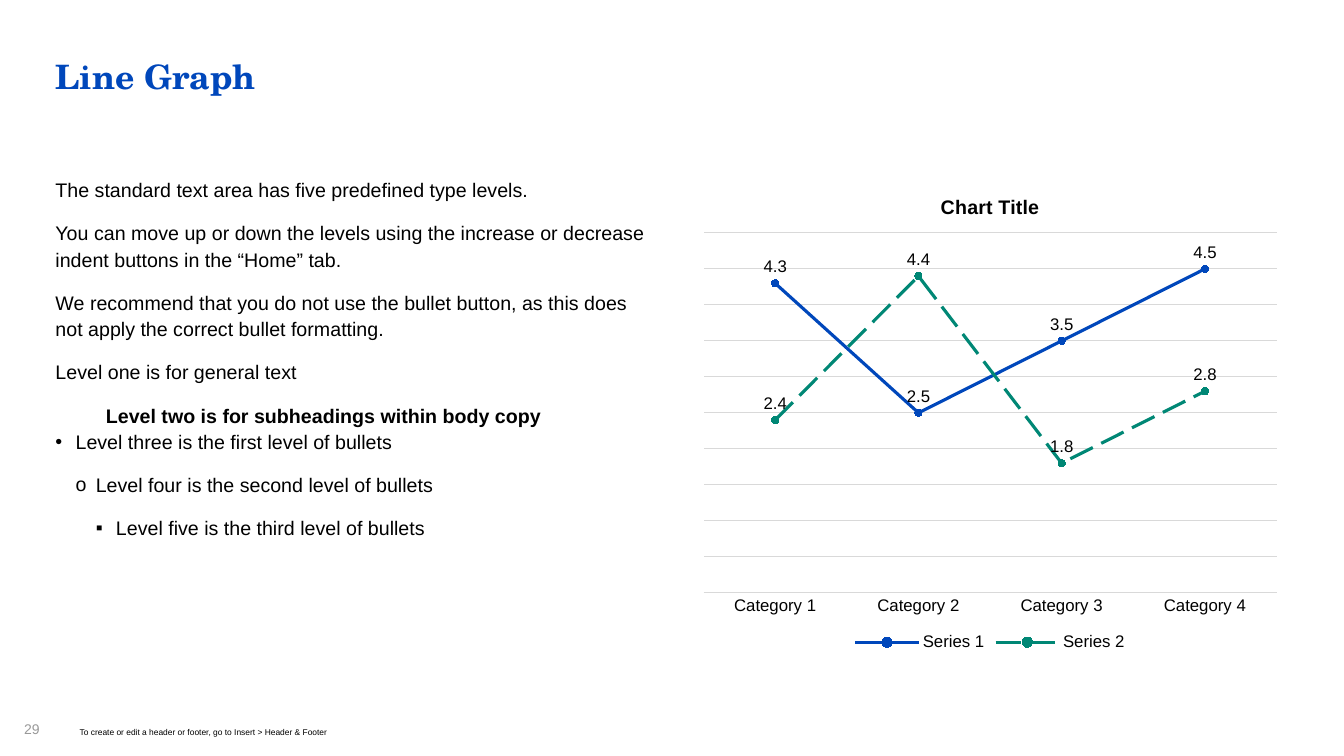
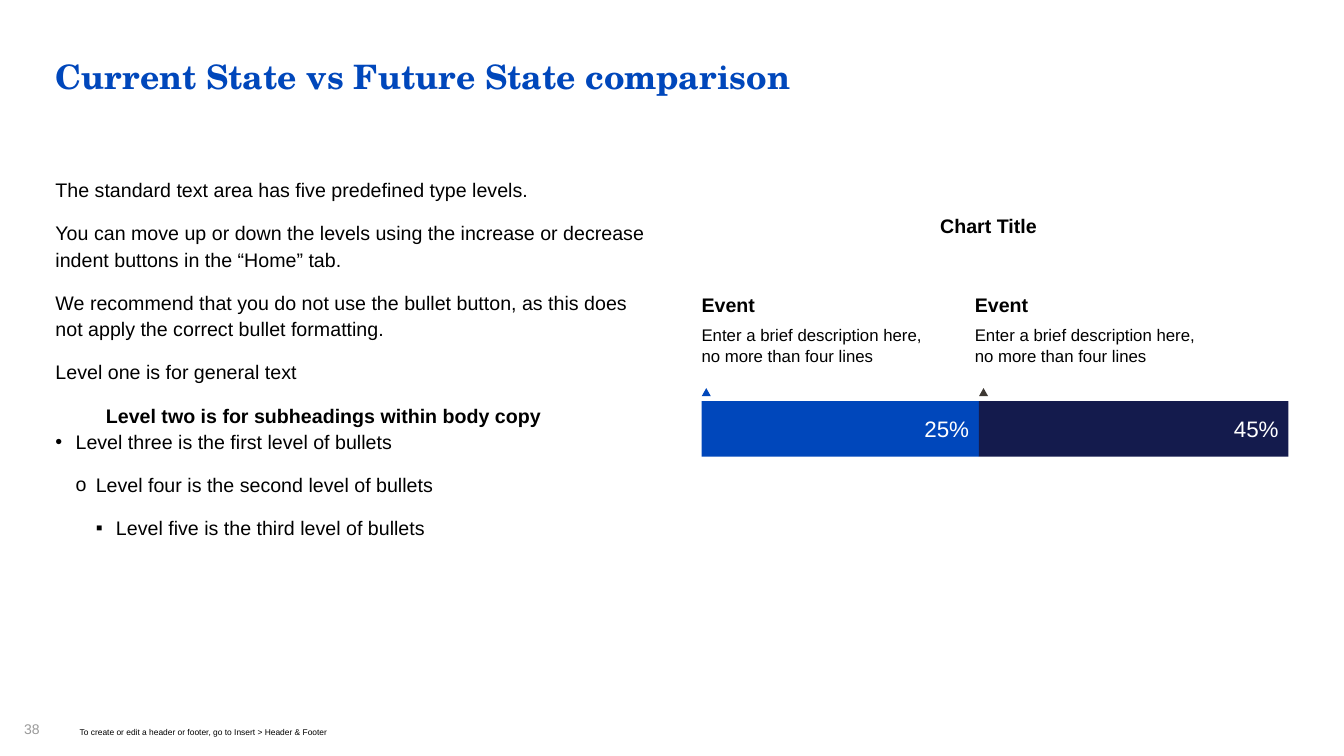
from lxml.etree import SubElement
from pptx import Presentation
from pptx.chart.data import CategoryChartData
from pptx.dml.color import RGBColor
from pptx.enum.chart import XL_CHART_TYPE, XL_LABEL_POSITION, XL_LEGEND_POSITION, XL_MARKER_STYLE, XL_TICK_MARK
from pptx.enum.dml import MSO_LINE
from pptx.enum.shapes import MSO_SHAPE
from pptx.enum.text import MSO_ANCHOR, PP_ALIGN
from pptx.oxml.ns import qn
from pptx.util import Pt

PX = 9144
BLUE, NAVY, GREEN, BROWN = "0047BB", "141B4D", "008775", "3D3833"
BLACK, WHITE, GREY, RULE = "000000", "FFFFFF", "999999", "D9D9D9"
SANS, SERIF = "Arial", "TeX Gyre Schola"
LEFT, BODY_TOP, BODY_WIDTH, BODY_HEIGHT = 55, 174, 592, 476
CHART_LEFT = 686
INDENT = 20

BODY = [
    (0, "The standard text area has five predefined type levels."),
    (0, "You can move up or down the levels using the increase or decrease indent buttons in the “Home” tab."),
    (0, "We recommend that you do not use the bullet button, as this does not apply the correct bullet formatting."),
    (0, "Level one is for general text"),
    (1, "Level two is for subheadings within body copy"),
    (2, "Level three is the first level of bullets"),
    (3, "Level four is the second level of bullets"),
    (4, "Level five is the third level of bullets"),
]
BULLETS = {2: "•", 3: "o", 4: "▪"}
FOOTER = "To create or edit a header or footer, go to Insert > Header & Footer"
SERIES = [
    ("Series 1", (4.3, 2.5, 3.5, 4.5), BLUE, MSO_LINE.SOLID),
    ("Series 2", (2.4, 4.4, 1.8, 2.8), GREEN, MSO_LINE.LONG_DASH),
]
EVENTS = [
    (696, 275, "25%", BLUE, BLUE),
    (971, 307, "45%", NAVY, BROWN),
]
CAPTION_STEP = 271
DESCRIPTION = "Enter a brief description here,\nno more than four lines"


def px(*lengths):
    return [length * PX for length in lengths]


def color(value):
    return RGBColor.from_string(value)


def style_font(font, size, ink=BLACK, bold=False, name=SANS):
    font.name, font.size, font.bold = name, Pt(size), bold
    font.color.rgb = color(ink)


def write(para, text, size, ink=BLACK, bold=False, name=SANS, spacing=None, after=0):
    para.text = text
    para.line_spacing = spacing
    para.space_after = Pt(after)
    for span in para.runs:
        style_font(span.font, size, ink, bold, name)


def add_box(page, place, inset=0, wrap=True):
    frame = page.shapes.add_textbox(*px(*place)).text_frame
    frame.word_wrap = wrap
    frame.margin_left = frame.margin_right = inset * PX
    frame.margin_top = frame.margin_bottom = inset * PX // 2
    return frame


def add_line(page, place, text, size, **look):
    write(add_box(page, place).paragraphs[0], text, size, spacing=0.9, **look)


def add_bullet(para, level):
    properties = para._p.get_or_add_pPr()
    properties.set("marL", str(INDENT * (level - 1) * PX))
    properties.set("indent", str(-INDENT * PX))
    SubElement(properties, qn("a:buFont")).set("typeface", SANS)
    SubElement(properties, qn("a:buChar")).set("char", BULLETS[level])


def add_body(page):
    frame = add_box(page, (LEFT, BODY_TOP, BODY_WIDTH, BODY_HEIGHT))
    for index, (level, text) in enumerate(BODY):
        para = frame.add_paragraph() if index else frame.paragraphs[0]
        para.level = level
        if level in BULLETS:
            add_bullet(para, level)
        heading = level == 1
        write(para, text, 14, bold=heading, spacing=1.12, after=0 if heading else 12)


def add_page(deck, title, number):
    page = deck.slides.add_slide(deck.slide_layouts[6])
    add_line(page, (LEFT, 60, 1223, 102), title, 24, ink=BLUE, bold=True, name=SERIF)
    add_body(page)
    add_line(page, (24, 717, 26, 33), number, 10, ink=GREY)
    add_line(page, (79, 722, 482, 28), FOOTER, 6)
    return page


def add_shape(page, kind, place, fill):
    shape = page.shapes.add_shape(kind, *px(*place))
    shape.shadow.inherit = False
    shape.fill.solid()
    shape.fill.fore_color.rgb = color(fill)
    shape.line.fill.background()
    return shape


def style_line(line, ink, width):
    line.color.rgb = color(ink)
    line.width = Pt(width)


def place_plot(chart, **fractions):
    plot_area = chart._chartSpace.chart.plotArea
    for old in plot_area.findall(qn("c:layout")):
        plot_area.remove(old)
    layout = plot_area.makeelement(qn("c:layout"))
    plot_area.insert(0, layout)
    manual = SubElement(layout, qn("c:manualLayout"))
    settings = {"layoutTarget": "inner", "xMode": "edge", "yMode": "edge", **fractions}
    for tag, value in settings.items():
        SubElement(manual, qn(f"c:{tag}")).set("val", str(value))


def style_series(series, ink, dash):
    series.smooth = False
    style_line(series.format.line, ink, 2.25)
    series.format.line.dash_style = dash
    marker = series.marker
    marker.style, marker.size = XL_MARKER_STYLE.CIRCLE, 5
    marker.format.fill.solid()
    marker.format.fill.fore_color.rgb = color(ink)
    style_line(marker.format.line, ink, 0.75)
    labels = series.data_labels
    labels.show_value = True
    labels.position = XL_LABEL_POSITION.ABOVE
    style_font(labels.font, 12)


def add_line_chart(page):
    data = CategoryChartData()
    data.categories = [f"Category {number}" for number in range(1, 5)]
    for name, values, _, _ in SERIES:
        data.add_series(name, values)
    place = px(CHART_LEFT, BODY_TOP, BODY_WIDTH, BODY_HEIGHT)
    chart = page.shapes.add_chart(XL_CHART_TYPE.LINE_MARKERS, *place, data).chart
    style_font(chart.font, 10)
    chart.has_title = True
    title = chart.chart_title
    title.include_in_layout = False
    write(title.text_frame.paragraphs[0], "Chart Title", 14, bold=True)
    chart.has_legend = True
    chart.legend.position = XL_LEGEND_POSITION.BOTTOM
    chart.legend.include_in_layout = False
    style_font(chart.legend.font, 12)
    categories, values = chart.category_axis, chart.value_axis
    categories.major_tick_mark = XL_TICK_MARK.NONE
    style_font(categories.tick_labels.font, 12)
    style_line(categories.format.line, RULE, 0.75)
    values.minimum_scale, values.maximum_scale, values.major_unit = 0, 5, 0.5
    values.has_major_gridlines = True
    style_line(values.major_gridlines.format.line, RULE, 0.75)
    values.visible = False
    chart.plots[0].vary_by_categories = False
    for series, (_, _, ink, dash) in zip(chart.plots[0].series, SERIES):
        style_series(series, ink, dash)
    place_plot(chart, x=0.02, y=0.12, w=0.96, h=0.75)


def add_event(page, caption_left, left, width, share, fill, pointer_fill):
    frame = add_box(page, (caption_left, 286, 270, 82), inset=10)
    write(frame.paragraphs[0], "Event", 14, bold=True, after=6)
    write(frame.add_paragraph(), DESCRIPTION, 12)
    add_shape(page, MSO_SHAPE.ISOSCELES_TRIANGLE, (left, 385, 9, 8), pointer_fill)
    bar = add_shape(page, MSO_SHAPE.RECTANGLE, (left, 398, width, 55), fill)
    bar.text_frame.vertical_anchor = MSO_ANCHOR.MIDDLE
    para = bar.text_frame.paragraphs[0]
    para.alignment = PP_ALIGN.RIGHT
    write(para, share, 16, ink=WHITE)


def add_comparison(page):
    para = add_box(page, (922, 207, 117, 34), inset=10, wrap=False).paragraphs[0]
    para.alignment = PP_ALIGN.CENTER
    write(para, "Chart Title", 14, bold=True)
    for index, event in enumerate(EVENTS):
        add_event(page, CHART_LEFT + index * CAPTION_STEP, *event)


def main():
    deck = Presentation()
    deck.slide_width, deck.slide_height = px(1333, 750)
    add_line_chart(add_page(deck, "Line Graph", "29"))
    add_comparison(add_page(deck, "Current State vs Future State comparison", "38"))
    deck.save("out.pptx")


if __name__ == "__main__":
    main()
